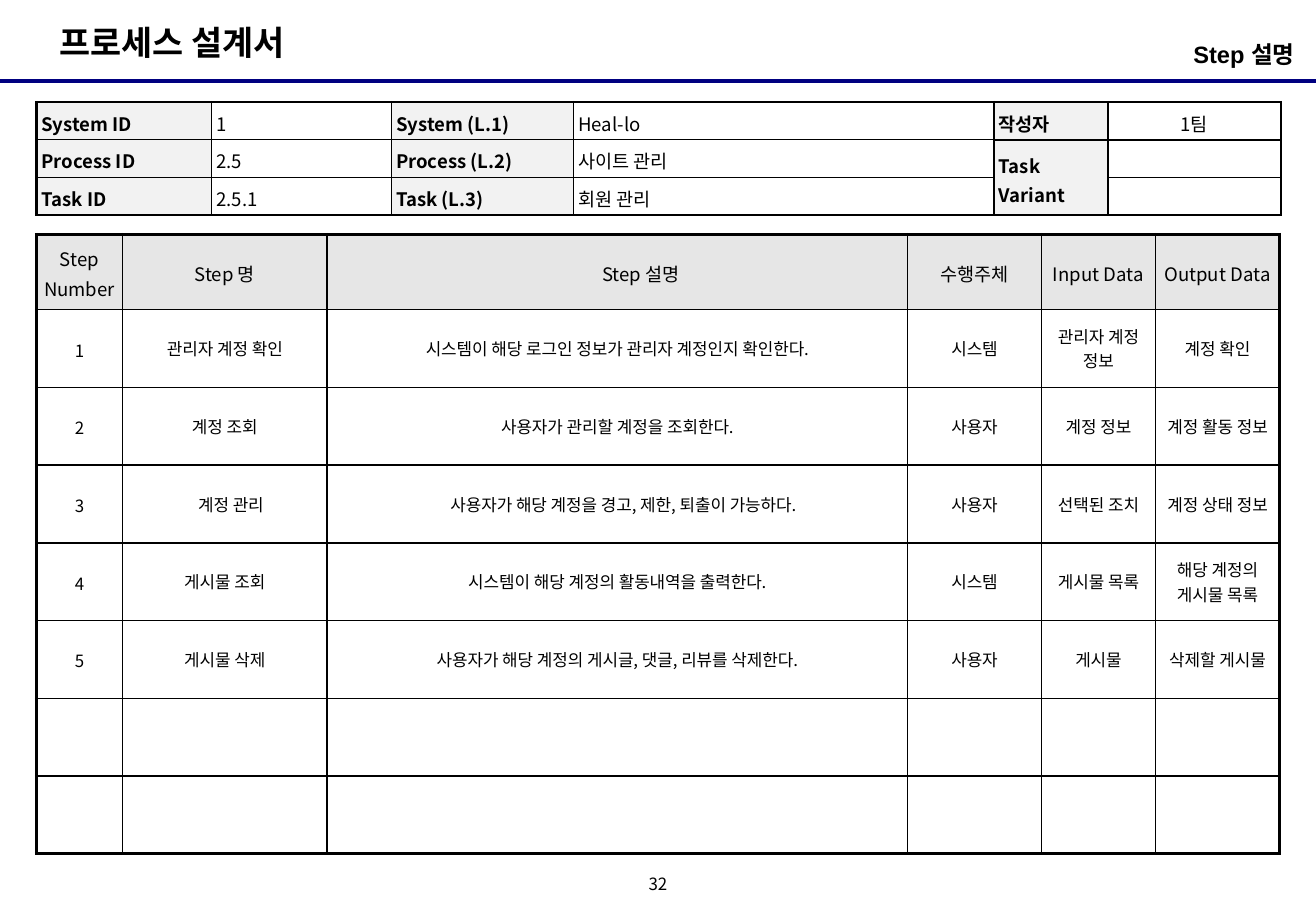
"""Build the process design slide with its ID table and step table."""
from lxml.etree import SubElement
from pptx import Presentation
from pptx.dml.color import RGBColor
from pptx.enum.text import MSO_ANCHOR as ANCHOR, MSO_AUTO_SIZE as AUTO, PP_ALIGN as ALIGN
from pptx.oxml.ns import qn
from pptx.util import Inches, Pt

FONT = "Noto Sans CJK KR"
BLACK, NAVY, WHITE, LABEL, HEADER = "000000", "000080", "FFFFFF", "F2F2F2", "E6E6E6"

TITLE, SUBTITLE, PAGE = "프로세스 설계서", "Step 설명 ", "32"

ID_COLS = [1.44, 1.48, 1.5, 3.46, 0.94, 1.42]
ID_HEIGHTS = [0.31] * 3
ID_ROWS = [
    ["System ID", "1", "System (L.1)", "Heal-lo", "작성자", "1팀"],
    ["Process ID", "2.5", "Process (L.2)", "사이트 관리", "Task Variant", ""],
    ["Task ID", "2.5.1", "Task (L.3)", "회원 관리", "", ""],
]

STEP_COLS = [0.71, 1.68, 4.78, 1.1, 0.94, 1.02]
STEP_HEIGHTS = [0.62] + [0.64] * 7
STEP_ROWS = [
    ["Step Number", "Step 명", "Step 설명", "수행주체", "Input Data", "Output Data"],
    ["1", "관리자 계정 확인", "시스템이 해당 로그인 정보가 관리자 계정인지 확인한다.", "시스템",
     "관리자 계정 정보", "계정 확인"],
    ["2", "계정 조회", "사용자가 관리할 계정을 조회한다.", "사용자", "계정 정보", "계정 활동 정보"],
    ["3", "계정 관리", "사용자가 해당 계정을 경고, 제한, 퇴출이 가능하다.", "사용자",
     "선택된 조치", "계정 상태 정보"],
    ["4", "게시물 조회", "시스템이 해당 계정의 활동내역을 출력한다.", "시스템",
     "게시물 목록", "해당 계정의 게시물 목록"],
    ["5", "게시물 삭제", "사용자가 해당 계정의 게시글, 댓글, 리뷰를 삭제한다.", "사용자",
     "게시물", "삭제할 게시물"],
    [""] * 6,
    [""] * 6,
]
STEP_INDENTS = {(0, 2): 0.39, (3, 1): 0.1, (3, 2): 0.1}


def rgb(color):
    return RGBColor.from_string(color)


def add_run(p, text, size, bold=False, font=FONT):
    r = p.add_run()
    r.text = text
    r.font.size, r.font.bold, r.font.name = Pt(size), bold, font
    r.font.color.rgb = rgb(BLACK)
    SubElement(r.font._element, qn("a:ea"), typeface=FONT)


def write_cell(cell, text, size, bold, align, line_spacing, indent=0):
    p = cell.text_frame.paragraphs[0]
    p.alignment, p.line_spacing = align, line_spacing
    if indent:
        p._p.get_or_add_pPr().set("marL", str(Inches(indent)))
    if text:
        add_run(p, text, size, bold)
    else:
        SubElement(p._p, qn("a:endParaRPr"), sz=str(size * 100))


def style_cell(cell, edges, fill, insets, anchor):
    cell.margin_left, cell.margin_right, cell.margin_top, cell.margin_bottom = map(Inches, insets)
    cell.vertical_anchor = anchor
    tcPr = cell._tc.get_or_add_tcPr()
    for side, width in zip("LRTB", edges):
        ln = SubElement(tcPr, qn(f"a:ln{side}"), w=str(Pt(width)))
        SubElement(SubElement(ln, qn("a:solidFill")), qn("a:srgbClr"), val=BLACK)
    cell.fill.solid()
    cell.fill.fore_color.rgb = rgb(fill)


def add_grid(s, left, top, cols, heights):
    table = s.shapes.add_table(len(heights), len(cols), Inches(left), Inches(top),
                               Inches(sum(cols)), Inches(sum(heights))).table
    table.first_row = table.horz_banding = False
    for col, width in zip(table.columns, cols):
        col.width = Inches(width)
    for row, height in zip(table.rows, heights):
        row.height = Inches(height)
    return table


def edge_widths(i, j, rows, outer):
    at_edge = (j == 0, j == len(rows[0]) - 1, i == 0, i == len(rows) - 1)
    return [outer if edge else 1 for edge in at_edge]


def add_id_table(s):
    table = add_grid(s, 0.3, 0.84, ID_COLS, ID_HEIGHTS)
    for i, row in enumerate(ID_ROWS):
        for j, text in enumerate(row):
            cell, label, author = table.cell(i, j), j % 2 == 0, j >= 4
            edges = edge_widths(i, j, ID_ROWS, 1.5)
            if author and i < 2:
                edges[3 - i] = 1.5
            style_cell(cell, edges, LABEL if label else WHITE, (0.04, 0.04, 0.04, 0.02),
                       ANCHOR.MIDDLE if author else ANCHOR.TOP)
            write_cell(cell, text, 11, label, ALIGN.CENTER if j == 5 else ALIGN.LEFT, 1.1)
    table.cell(1, 4).merge(table.cell(2, 4))


def add_step_table(s):
    table = add_grid(s, 0.3, 1.93, STEP_COLS, STEP_HEIGHTS)
    for i, row in enumerate(STEP_ROWS):
        for j, text in enumerate(row):
            cell, header = table.cell(i, j), i == 0
            style_cell(cell, edge_widths(i, j, STEP_ROWS, 2.25), HEADER if header else WHITE,
                       (0.06, 0.06, 0.04, 0.04), ANCHOR.MIDDLE)
            write_cell(cell, text, 11 if header else 10, False, ALIGN.CENTER,
                       1.1 if header or j == 0 else 1.0, STEP_INDENTS.get((i, j), 0))


def place_text(sp, box, text, size, align, insets, anchor, bold=False, font=FONT, wrap=True):
    sp.left, sp.top, sp.width, sp.height = map(Inches, box)
    tf = sp.text_frame
    tf.auto_size, tf.word_wrap, tf.vertical_anchor = AUTO.NONE, wrap, anchor
    tf.margin_left = tf.margin_right = Inches(insets[0])
    tf.margin_top = tf.margin_bottom = Inches(insets[1])
    p = tf.paragraphs[0]
    p.alignment = align
    add_run(p, text, size, bold, font)
    return p


def main():
    prs = Presentation()
    prs.slide_width, prs.slide_height = Inches(10.83), Inches(7.5)
    s = prs.slides.add_slide(prs.slide_layouts[5])

    rule = s.shapes.add_connector(1, 0, Inches(0.67), prs.slide_width, Inches(0.67))
    rule.line.color.rgb, rule.line.width = rgb(NAVY), Pt(2.25)
    SubElement(rule._element.spPr, qn("a:effectLst"))

    place_text(s.shapes.title, (0.39, 0.13, 2.26, 0.44), TITLE, 20, ALIGN.LEFT,
               (0.1, 0.05), ANCHOR.MIDDLE, bold=True, wrap=False)
    add_id_table(s)
    add_step_table(s)
    place_text(s.shapes.add_textbox(0, 0, 0, 0), (7.39, 0.28, 3.31, 0.39), SUBTITLE, 14,
               ALIGN.RIGHT, (0, 0.05), ANCHOR.TOP, bold=True, font="Arial")
    page = place_text(s.shapes.add_textbox(0, 0, 0, 0), (5.25, 7.17, 0.33, 0.25), PAGE, 10,
                      ALIGN.CENTER, (0, 0), ANCHOR.MIDDLE, wrap=False)
    page.line_spacing = 0.8
    prs.save("out.pptx")


if __name__ == "__main__":
    main()
